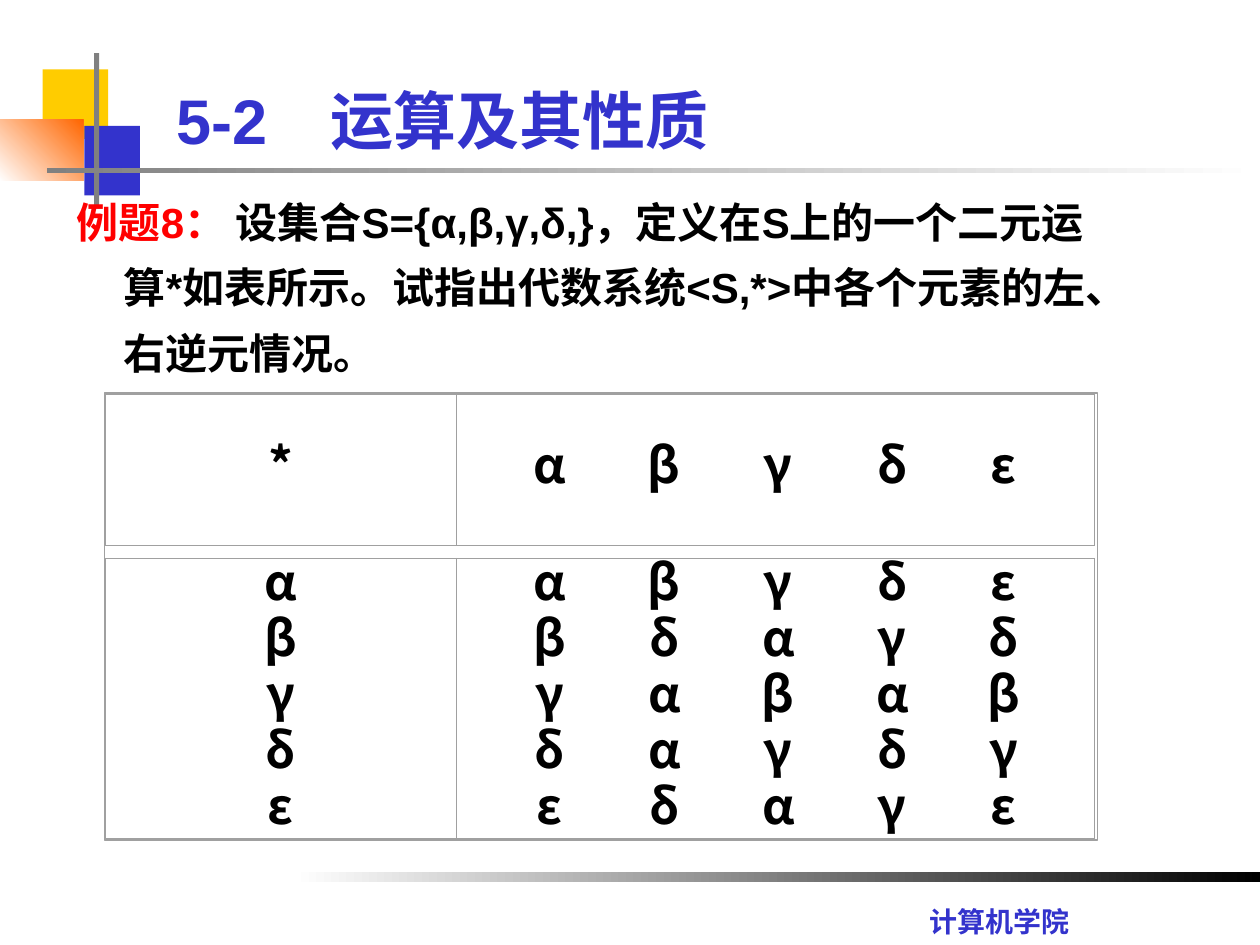
from lxml import etree
from pptx import Presentation
from pptx.dml.color import RGBColor
from pptx.enum.shapes import MSO_SHAPE
from pptx.enum.text import MSO_ANCHOR, PP_ALIGN
from pptx.oxml.ns import qn
from pptx.util import Cm, Pt

# Content
TITLE = "5-2\u3000运算及其性质"
EXAMPLE = [
    ("例题8：", "red"),
    (" 设集合S={α,β,γ,δ,}，定义在S上的一个二元运算*如表所示。"
     "试指出代数系统<S,*>中各个元素的左、右逆元情况。", "black"),
]
FOOTER = "计算机学院"
HEADER = "*αβγδε"
PRODUCTS = ["ααβγδε", "ββδαγδ", "γγαβαβ", "δδαγδγ", "εεδαγε"]

COLORS = {"yellow": "FFCC00", "blue": "3333CC", "orange": "FF6600",
          "grey": "808080", "rule": "A0A0A0", "red": "FF0000",
          "black": "000000", "white": "FFFFFF"}
CJK = "Noto Sans CJK SC"

# Left, top, width, height in cm; fill colours; gradient angle
DECORATIONS = [
    ((0.86, 1.4, 1.32, 1.4), ["yellow"], 0),
    ((1.7, 2.54, 1.12, 1.4), ["blue"], 0),
    ((0, 2.41, 1.68, 1.24), ["white", "orange"], 45),
    ((1.9, 1.07, 0.1, 3.1), ["grey"], 0),
    ((0.94, 3.38, 24.46, 0.1), ["grey", "white"], 0),
    ((5.92, 17.58, 19.48, 0.2), ["white", "black"], 0),
]
TABLE_AT = (2.13, 7.95)
COLUMN_WIDTHS = [7.06, 3.05, 2.3, 2.3, 2.3, 2.93]
ROW_HEIGHTS = [3.05, 0.25] + [1.13] * len(PRODUCTS)
FRAME = (2.11, 7.92, 20.02, 9.02)
GAP_ROW = 1

deck = Presentation()
deck.slide_width, deck.slide_height = Cm(25.4), Cm(19.05)
page = deck.slides.add_slide(deck.slide_layouts[6])


def color(name):
    return RGBColor.from_string(COLORS[name])


def add_rectangle(place):
    box = page.shapes.add_shape(MSO_SHAPE.RECTANGLE, *map(Cm, place))
    box.shadow.inherit = False
    return box


def add_span(para, text, size, shade, font="Arial"):
    span = para.add_run()
    span.text = text
    span.font.size, span.font.bold, span.font.name = Pt(size), True, font
    span.font.color.rgb = color(shade)
    east_asian = etree.SubElement(span.font._element, qn("a:ea"))
    east_asian.set("typeface", CJK)


def add_text(place, spans, size, wrap=True, font="Arial"):
    frame = page.shapes.add_textbox(*map(Cm, place)).text_frame
    frame.word_wrap = wrap
    for text, shade in spans:
        add_span(frame.paragraphs[0], text, size, shade, font)
    return frame


def set_borders(cell, visible):
    for index, side in enumerate("LRTB"):
        line = etree.Element(qn(f"a:ln{side}"), w=str(Pt(0.25)))
        if side in visible:
            fill = etree.SubElement(line, qn("a:solidFill"))
            etree.SubElement(fill, qn("a:srgbClr"), val=COLORS["rule"])
        else:
            etree.SubElement(line, qn("a:noFill"))
        cell._tc.get_or_add_tcPr().insert(index, line)


# Corner blocks and rules
for place, shades, angle in DECORATIONS:
    box = add_rectangle(place)
    box.line.fill.background()
    if len(shades) == 1:
        box.fill.solid()
        box.fill.fore_color.rgb = color(shades[0])
    else:
        box.fill.gradient()
        box.fill.gradient_angle = angle
        for stop, shade in zip(box.fill.gradient_stops, shades):
            stop.color.rgb = color(shade)

# Footer, example and title
add_text((18.49, 18.11, 3.53, 0.94), [(FOOTER, "blue")], 16, False, "Karla")

para = add_text((1.3, 3.53, 21.59, 4.45), EXAMPLE, 24).paragraphs[0]
para.line_spacing = 1.3
para.space_before = para.space_after = Pt(5)
indent = para._p.get_or_add_pPr()
indent.set("marL", str(Cm(0.95)))
indent.set("indent", str(-Cm(0.95)))

title = add_text((3.3, 1.52, 21.59, 1.78), [(TITLE, "blue")], 36)
title.vertical_anchor = MSO_ANCHOR.MIDDLE

# Operation table
rows = [HEADER, " " * len(HEADER)] + PRODUCTS
size = (sum(COLUMN_WIDTHS), sum(ROW_HEIGHTS))
table = page.shapes.add_table(len(rows), len(HEADER),
                              *map(Cm, TABLE_AT + size)).table
table.first_row = table.horz_banding = False
for column, width in zip(table.columns, COLUMN_WIDTHS):
    column.width = Cm(width)
for row, height in zip(table.rows, ROW_HEIGHTS):
    row.height = Cm(height)

last_row, last_column = len(rows) - 1, len(HEADER) - 1
for r, symbols in enumerate(rows):
    for c, symbol in enumerate(symbols):
        cell = table.cell(r, c)
        cell.fill.background()
        cell.vertical_anchor = MSO_ANCHOR.MIDDLE
        cell.margin_top = cell.margin_bottom = 0
        cell.margin_left = Cm(0.74 if c == 1 else 0)
        cell.margin_right = Cm(0.73 if c == last_column else 0)
        para = cell.text_frame.paragraphs[0]
        para.alignment = PP_ALIGN.CENTER
        if r == GAP_ROW:
            etree.SubElement(para._p, qn("a:endParaRPr"), sz="100")
            set_borders(cell, "TB")
            continue
        para.line_spacing = Pt(32)
        add_span(para, symbol, 28, "black", CJK)
        sides = "LR" if c == 0 else "L" if c == 1 else ""
        sides += "R" if c == last_column else ""
        sides += "TB" if r == 0 else "T" if r == GAP_ROW + 1 else ""
        sides += "B" if r == last_row else ""
        set_borders(cell, sides)

# Outer frame
frame = add_rectangle(FRAME)
frame.fill.background()
frame.line.color.rgb = color("rule")
frame.line.width = Pt(0.87)

deck.save("out.pptx")
